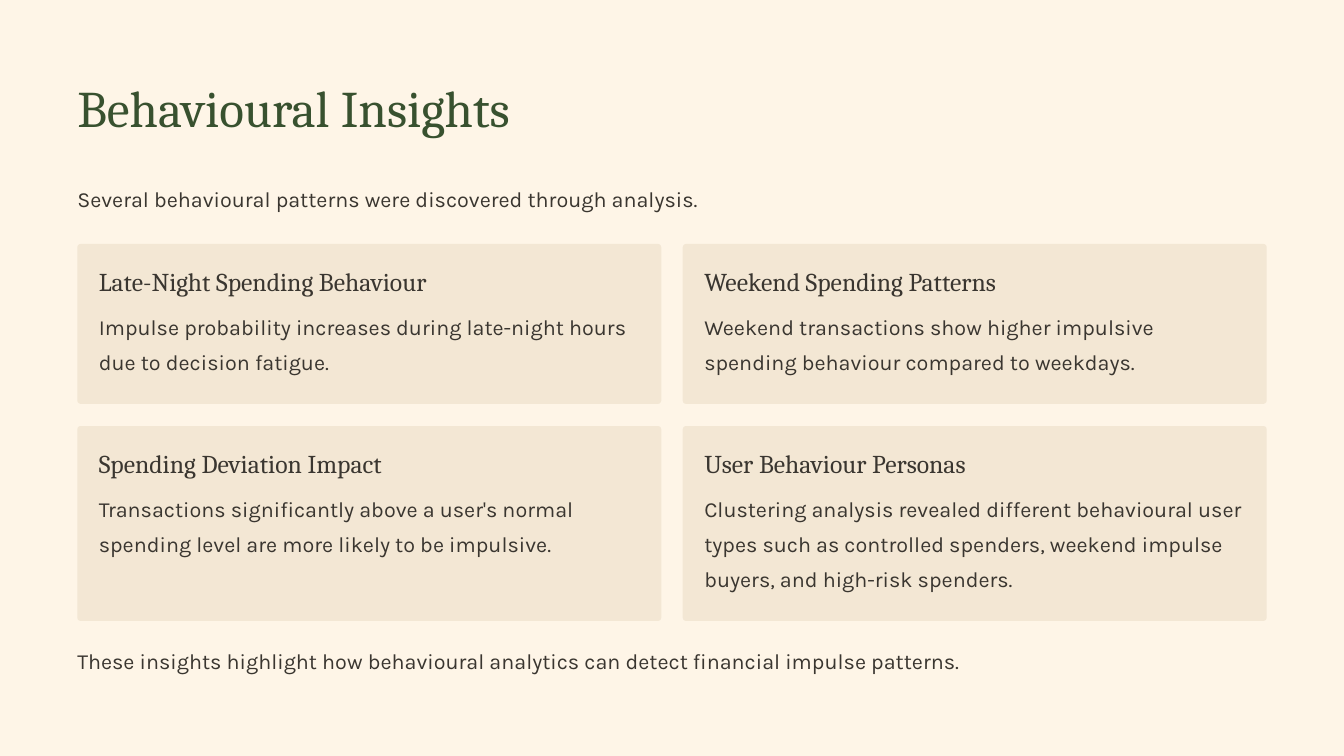
from pptx import Presentation
from pptx.dml.color import RGBColor
from pptx.enum.shapes import MSO_SHAPE
from pptx.enum.text import MSO_ANCHOR, MSO_AUTO_SIZE, PP_ALIGN
from pptx.util import Inches, Pt

CREAM = RGBColor(0xFE, 0xF5, 0xE7)
SAND = RGBColor(0xF3, 0xE7, 0xD4)
GREEN = RGBColor(0x38, 0x51, 0x2F)
INK = RGBColor(0x3A, 0x36, 0x30)
ROUND = MSO_SHAPE.ROUNDED_RECTANGLE
TOP = MSO_ANCHOR.TOP
LEFT = PP_ALIGN.LEFT
FIXED = MSO_AUTO_SIZE.NONE

HEAD = ("Cambria", 27.5, 34.4, INK)
BODY = ("Karla", 23.1, 37.5, INK)
TITLE = ("Cambria", 55, 68.8, GREEN)

MARGIN, CARD_W, GAP, PAD = 1.15, 8.69, 0.32, 0.32
ROWS = [
    (3.63, 2.38, [
        ("Late-Night Spending Behaviour",
         "Impulse probability increases during late-night hours due to decision fatigue."),
        ("Weekend Spending Patterns",
         "Weekend transactions show higher impulsive spending behaviour compared to weekdays."),
    ]),
    (6.34, 2.9, [
        ("Spending Deviation Impact",
         "Transactions significantly above a user's normal spending level are more likely "
         "to be impulsive."),
        ("User Behaviour Personas",
         "Clustering analysis revealed different behavioural user types such as controlled "
         "spenders, weekend impulse buyers, and high-risk spenders."),
    ]),
]
LINES = [
    (2.63, "Several behavioural patterns were discovered through analysis."),
    (9.5, "These insights highlight how behavioural analytics can detect financial "
          "impulse patterns."),
]


def write(shape, text, style):
    """Fill a shape with one paragraph in the given style, without insets."""
    face, size, pitch, color = style
    frame = shape.text_frame
    frame.margin_left = frame.margin_right = frame.margin_top = frame.margin_bottom = 0
    frame.word_wrap = True
    frame.auto_size = FIXED
    frame.vertical_anchor = TOP
    frame.text = text
    para = frame.paragraphs[0]
    para.alignment = LEFT
    para.line_spacing = Pt(pitch)
    font = para.runs[0].font
    font.name, font.size, font.color.rgb = face, Pt(size), color


def add_text(x, y, w, h, text, style):
    box = slide.shapes.add_textbox(Inches(x), Inches(y), Inches(w), Inches(h))
    write(box, text, style)


prs = Presentation()
prs.slide_width, prs.slide_height = Inches(20), Inches(11.25)
slide = prs.slides.add_slide(prs.slide_layouts[5])
slide.background.fill.solid()
slide.background.fill.fore_color.rgb = CREAM

title = slide.shapes.title
title.left, title.top = Inches(MARGIN), Inches(1.1)
title.width, title.height = Inches(7.7), Inches(0.98)
write(title, "Behavioural Insights", TITLE)

for y, text in LINES:
    add_text(MARGIN, y, 2 * CARD_W + GAP, 0.63, text, BODY)

for y, height, cards in ROWS:
    for col, (head, body) in enumerate(cards):
        x = MARGIN + col * (CARD_W + GAP)
        card = slide.shapes.add_shape(ROUND, Inches(x), Inches(y), Inches(CARD_W), Inches(height))
        card.adjustments[0] = 0.05 / height
        card.shadow.inherit = False
        card.fill.solid()
        card.fill.fore_color.rgb = SAND
        card.line.fill.background()
        add_text(x + PAD, y + 0.31, CARD_W - 2 * PAD, 0.5, head, HEAD)
        add_text(x + PAD, y + 0.9, CARD_W - 2 * PAD, height - 1.23, body, BODY)

prs.save("out.pptx")
